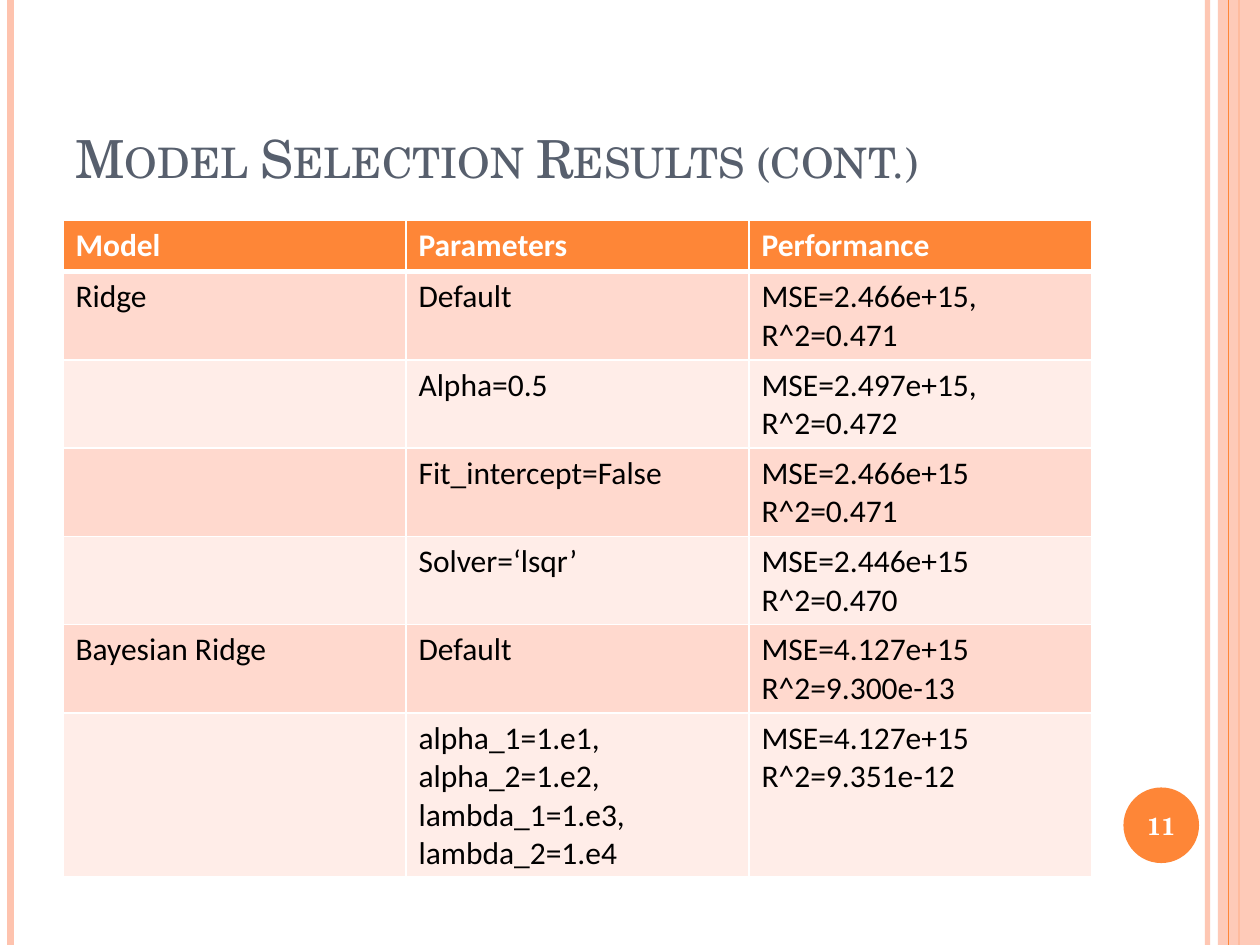
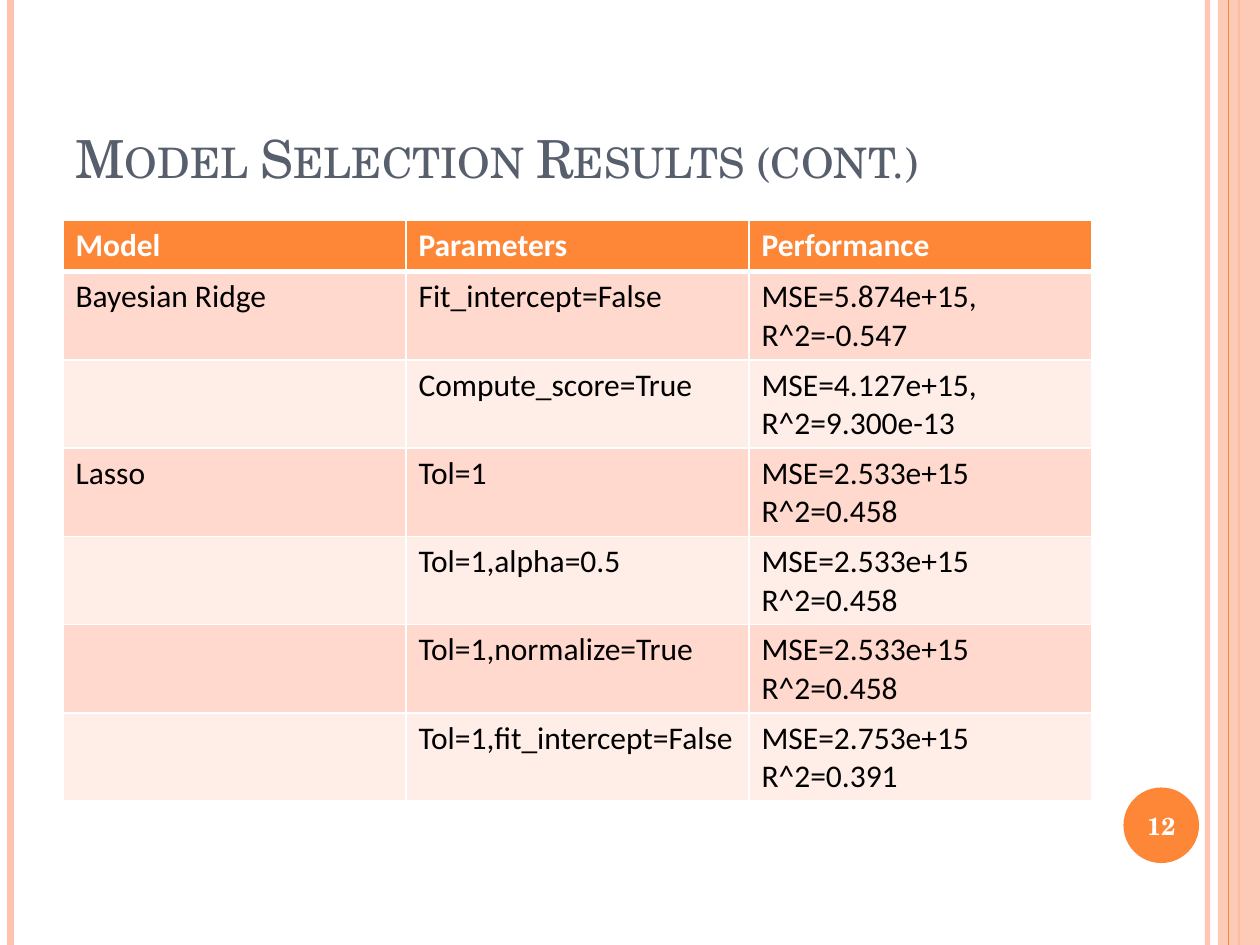
from dataclasses import dataclass

from lxml.etree import SubElement
from pptx import Presentation
from pptx.dml.color import RGBColor
from pptx.enum.shapes import MSO_CONNECTOR as Connector, MSO_SHAPE as Shape
from pptx.enum.text import MSO_ANCHOR as Anchor, PP_ALIGN as Align
from pptx.oxml.ns import qn
from pptx.util import Pt


@dataclass(frozen=True)
class Theme:
    accent: str = "FE8637"
    soft: str = "FEC3AE"
    title: str = "575F6D"
    white: str = "FFFFFF"
    black: str = "000000"
    bands: tuple = ("FFD9CE", "FFEDE8")
    heading_font: str = "TeX Gyre Schola"
    table_font: str = "Calibri"
    title_size: float = 30
    table_size: float = 18
    number_size: float = 14


@dataclass(frozen=True)
class Box:
    left: float
    top: float
    width: float
    height: float

    @property
    def lengths(self):
        return Pt(self.left), Pt(self.top), Pt(self.width), Pt(self.height)


THEME = Theme()
PAGE = Box(0, 0, 720, 540)
TITLE_BOX = Box(36, 21.6, 588, 90)
TABLE_BOX = Box(36, 126, 588, 204.4)
BADGE_BOX = Box(642, 450, 43.2, 43.2)

TITLE = "Model Selection Results (cont.)"
HEADINGS = ("Model", "Parameters", "Performance")
# Each newline in a cell starts a paragraph
RESULTS = {
    11: [
        ("Ridge", "Default", "MSE=2.466e+15, R^2=0.471"),
        ("", "Alpha=0.5", "MSE=2.497e+15, R^2=0.472"),
        ("", "Fit_intercept=False", "MSE=2.466e+15\nR^2=0.471"),
        ("", "Solver=‘lsqr’", "MSE=2.446e+15\nR^2=0.470"),
        ("Bayesian Ridge", "Default", "MSE=4.127e+15\nR^2=9.300e-13"),
        ("", "alpha_1=1.e1, alpha_2=1.e2, lambda_1=1.e3, lambda_2=1.e4",
         "MSE=4.127e+15\nR^2=9.351e-12"),
    ],
    12: [
        ("Bayesian Ridge", "Fit_intercept=False", "MSE=5.874e+15, R^2=-0.547"),
        ("", "Compute_score=True", "MSE=4.127e+15, R^2=9.300e-13"),
        ("Lasso", "Tol=1", "MSE=2.533e+15\nR^2=0.458"),
        ("", "Tol=1,alpha=0.5", "MSE=2.533e+15\nR^2=0.458"),
        ("", "Tol=1,normalize=True", "MSE=2.533e+15\nR^2=0.458"),
        ("", "Tol=1,fit_intercept=False", "MSE=2.753e+15\nR^2=0.391"),
    ],
}


def color(code):
    return RGBColor.from_string(code)


def set_alpha(fill_parent, percent):
    """Make the solid colour below an element partly transparent."""
    value = next(fill_parent.iter(qn("a:srgbClr")))
    SubElement(value, qn("a:alpha"), val=str(percent * 1000))


def style_text(frame, font_name, size, code, bold=False):
    for para in frame.paragraphs:
        font = para.font
        font.name, font.size, font.bold = font_name, Pt(size), bold
        font.color.rgb = color(code)


def add_stripe(page, box, offset, code, weight, alpha=None):
    """Vertical line over the full height of the box."""
    x = Pt(box.left + offset)
    stripe = page.shapes.add_connector(
        Connector.STRAIGHT, x, Pt(box.top), x, Pt(box.top + box.height))
    stripe.line.color.rgb = color(code)
    stripe.line.width = Pt(weight)
    properties = stripe._element.spPr
    if alpha:
        set_alpha(properties, alpha)
    SubElement(properties, qn("a:effectLst"))


def add_solid(page, kind, box, code):
    solid = page.shapes.add_shape(kind, *box.lengths)
    solid.shadow.inherit = False
    solid.fill.solid()
    solid.fill.fore_color.rgb = color(code)
    solid.line.fill.background()
    return solid


def add_frame(page, box):
    """Stripes and band along the page edges."""
    add_stripe(page, box, 690, THEME.soft, 3, alpha=93)
    add_stripe(page, box, 6, THEME.soft, 4.5)
    add_stripe(page, box, 708, THEME.accent, 1.5)
    band_box = Box(box.left + 696, box.top, 24, box.height)
    band = add_solid(page, Shape.RECTANGLE, band_box, THEME.soft)
    set_alpha(band._element.spPr, 87)
    add_stripe(page, box, 702, THEME.accent, 0.75)


def add_title(page, box, text):
    frame = page.shapes.add_textbox(*box.lengths).text_frame
    frame.word_wrap = True
    frame.vertical_anchor = Anchor.BOTTOM
    frame.text = text
    style_text(frame, THEME.heading_font, THEME.title_size, THEME.title)
    # Small capitals
    frame.paragraphs[0]._p.pPr.find(qn("a:defRPr")).set("cap", "small")


def add_badge(page, box, number):
    """Round page number; its text box is a little wider than the circle."""
    add_solid(page, Shape.OVAL, box, THEME.accent)
    label_box = Box(box.left - 2.4, box.top + 1.2, box.width + 4.8, box.height - 2.4)
    frame = page.shapes.add_textbox(*label_box.lengths).text_frame
    frame.word_wrap = True
    frame.vertical_anchor = Anchor.MIDDLE
    frame.text = str(number)
    frame.paragraphs[0].alignment = Align.CENTER
    style_text(frame, THEME.heading_font, THEME.number_size, THEME.white, bold=True)


def set_borders(cell, top, bottom):
    properties = cell._tc.get_or_add_tcPr()
    for side, weight in (("L", 1), ("R", 1), ("T", top), ("B", bottom)):
        border = SubElement(properties, qn(f"a:ln{side}"), w=str(Pt(weight)))
        fill = SubElement(border, qn("a:solidFill"))
        SubElement(fill, qn("a:srgbClr"), val=THEME.white)


def add_results(page, box, rows):
    """Header row over banded result rows; rows grow with their text."""
    lines = [HEADINGS, *rows]
    table = page.shapes.add_table(len(lines), len(HEADINGS), *box.lengths).table
    for row_index, line in enumerate(lines):
        header = row_index == 0
        fill = THEME.accent if header else THEME.bands[(row_index - 1) % 2]
        ink = THEME.white if header else THEME.black
        for column_index, text in enumerate(line):
            cell = table.cell(row_index, column_index)
            set_borders(cell, 3 if row_index == 1 else 1, 3 if header else 1)
            cell.fill.solid()
            cell.fill.fore_color.rgb = color(fill)
            cell.text = text
            style_text(cell.text_frame, THEME.table_font, THEME.table_size, ink, header)


def add_results_page(deck, number, rows):
    page = deck.slides.add_slide(deck.slide_layouts[6])
    add_frame(page, PAGE)
    add_title(page, TITLE_BOX, TITLE)
    add_results(page, TABLE_BOX, rows)
    add_badge(page, BADGE_BOX, number)


def main():
    deck = Presentation()
    deck.slide_width, deck.slide_height = Pt(PAGE.width), Pt(PAGE.height)
    for number, rows in RESULTS.items():
        add_results_page(deck, number, rows)
    deck.save("out.pptx")


if __name__ == "__main__":
    main()
